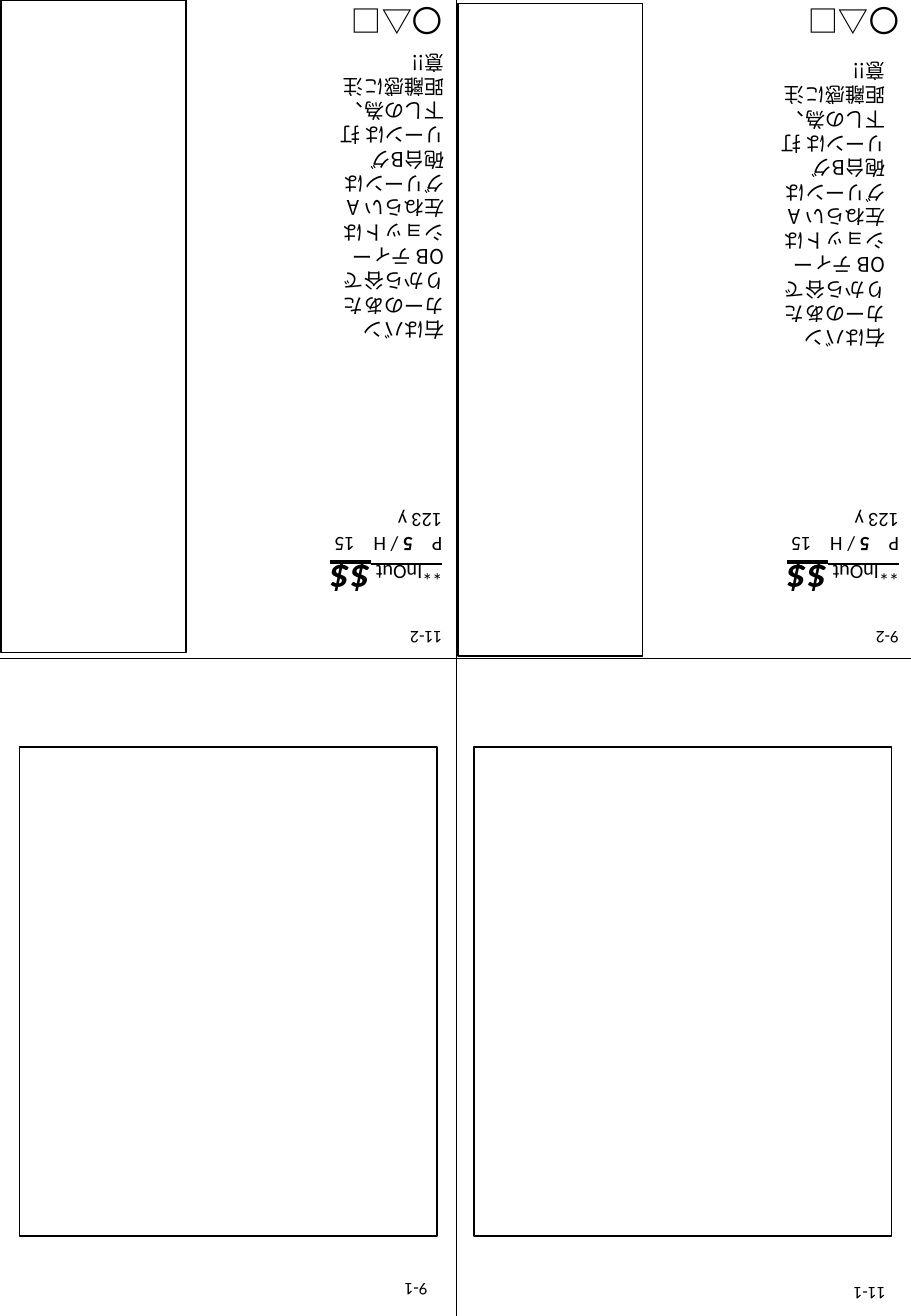
from pptx import Presentation
from pptx.dml.color import RGBColor
from pptx.enum.shapes import MSO_CONNECTOR, MSO_SHAPE
from pptx.enum.text import MSO_ANCHOR, MSO_AUTO_SIZE
from pptx.oxml.ns import qn
from pptx.util import Pt
from lxml.etree import SubElement

PX = 9144  # 100 px to the inch
COLORS = {"ink": "000000", "paper": "FFFFFF"}
LATIN, JAPANESE = "Calibri", "Noto Sans CJK JP"
ADVICE = ("右はバンカーのあたりから谷でOB ティーショットは左ねらい Aグリーンは"
          "砲台Bグリーンは 打下しの為、距離感に注意!!")


def emu(*lengths):
    return [v * PX for v in lengths]


def color(name):
    return RGBColor.from_string(COLORS[name])


def add_fold(s, x1, y1, x2, y2):
    line = s.shapes.add_connector(MSO_CONNECTOR.STRAIGHT, *emu(x1, y1, x2, y2))
    line.line.color.rgb = color("ink")
    line.line.width = Pt(0.5)
    SubElement(line._element.spPr, qn("a:effectLst"))


def add_frame(s, x, y, w, h):
    sp = s.shapes.add_shape(MSO_SHAPE.FLOWCHART_PROCESS, *emu(x, y, w, h))
    sp.rotation = 180
    sp.shadow.inherit = False
    sp.fill.solid()
    sp.fill.fore_color.rgb = color("paper")
    sp.line.color.rgb = color("ink")
    sp.line.width = Pt(1)


def add_box(s, x, y, w, h, wrap=True, grow=True, anchor=MSO_ANCHOR.TOP):
    sp = s.shapes.add_textbox(*emu(x, y, w, h))
    sp.rotation = 180
    tf = sp.text_frame
    tf.word_wrap = wrap
    tf.auto_size = MSO_AUTO_SIZE.SHAPE_TO_FIT_TEXT if grow else MSO_AUTO_SIZE.NONE
    tf.vertical_anchor = anchor
    return tf


def set_font(p, size, name=LATIN):
    p.font.size = Pt(size)
    p.font.name = name
    p.font.color.rgb = color("ink")


def add_run(p, text):
    r = p.add_run()
    r.text = text
    return r


def add_label(s, text, size, x, y, w, h, wrap=False):
    p = add_box(s, x, y, w, h, wrap).paragraphs[0]
    p.text = text
    set_font(p, size)


def add_advice(s, x, y):
    p = add_box(s, x, y, 110, 225, grow=False, anchor=MSO_ANCHOR.BOTTOM).paragraphs[0]
    p.text = ADVICE
    set_font(p, 12, JAPANESE)
    SubElement(p.font._element, qn("a:ea"), typeface=JAPANESE)


def add_score(s, x, y):
    tf = add_box(s, x, y, 176, 91, anchor=MSO_ANCHOR.BOTTOM)
    wager, par, yards = tf.paragraphs[0], tf.add_paragraph(), tf.add_paragraph()

    # Underlined wager line
    add_run(wager, "**InOut ")
    money = add_run(wager, "$$")
    money.font.size = Pt(24)
    money.font.bold = money.font.italic = True
    set_font(wager, 12)
    wager.font.underline = True

    # Par and handicap, set on tab stops
    tabs = SubElement(par._p.get_or_add_pPr(), qn("a:tabLst"))
    for stop in emu(24, 72):
        SubElement(tabs, qn("a:tab"), pos=str(stop), algn="l")
    add_run(par, "P\t")
    add_run(par, "5 ").font.bold = True
    add_run(par, "/ H\t15")
    set_font(par, 12)

    yards.text = "123 y"
    set_font(yards, 12)


def main():
    prs = Presentation()
    prs.slide_width, prs.slide_height = emu(750, 1083)
    s = prs.slides.add_slide(prs.slide_layouts[6])

    # Fold lines
    add_fold(s, -86, 542, 903, 542)
    add_fold(s, 376, -29, 376, 1113)

    # Page numbers
    add_label(s, "11-2", 10.5, 327, 511, 47, 28)
    add_label(s, "11-1", 10.5, 692, 1051, 47, 28, wrap=True)
    add_label(s, "9-2", 10.5, 700, 511, 50, 28, wrap=True)
    add_label(s, "9-1", 10.5, 322, 1048, 40, 28)

    # Upper pages: frame, score, advice and marks
    for left, top, advice_x, advice_y in ((377, 3, 629, 44), (1, 0, 266, 37)):
        add_frame(s, left, top, 152, 537)
        add_score(s, left + 197, 414)
        add_advice(s, advice_x, advice_y)
        add_label(s, "〇△□", 18, left + 277, -2, 96, 40)

    # Lower pages: large frames
    for left in (16, 390):
        add_frame(s, left, 615, 344, 402)

    prs.save("out.pptx")


if __name__ == "__main__":
    main()
